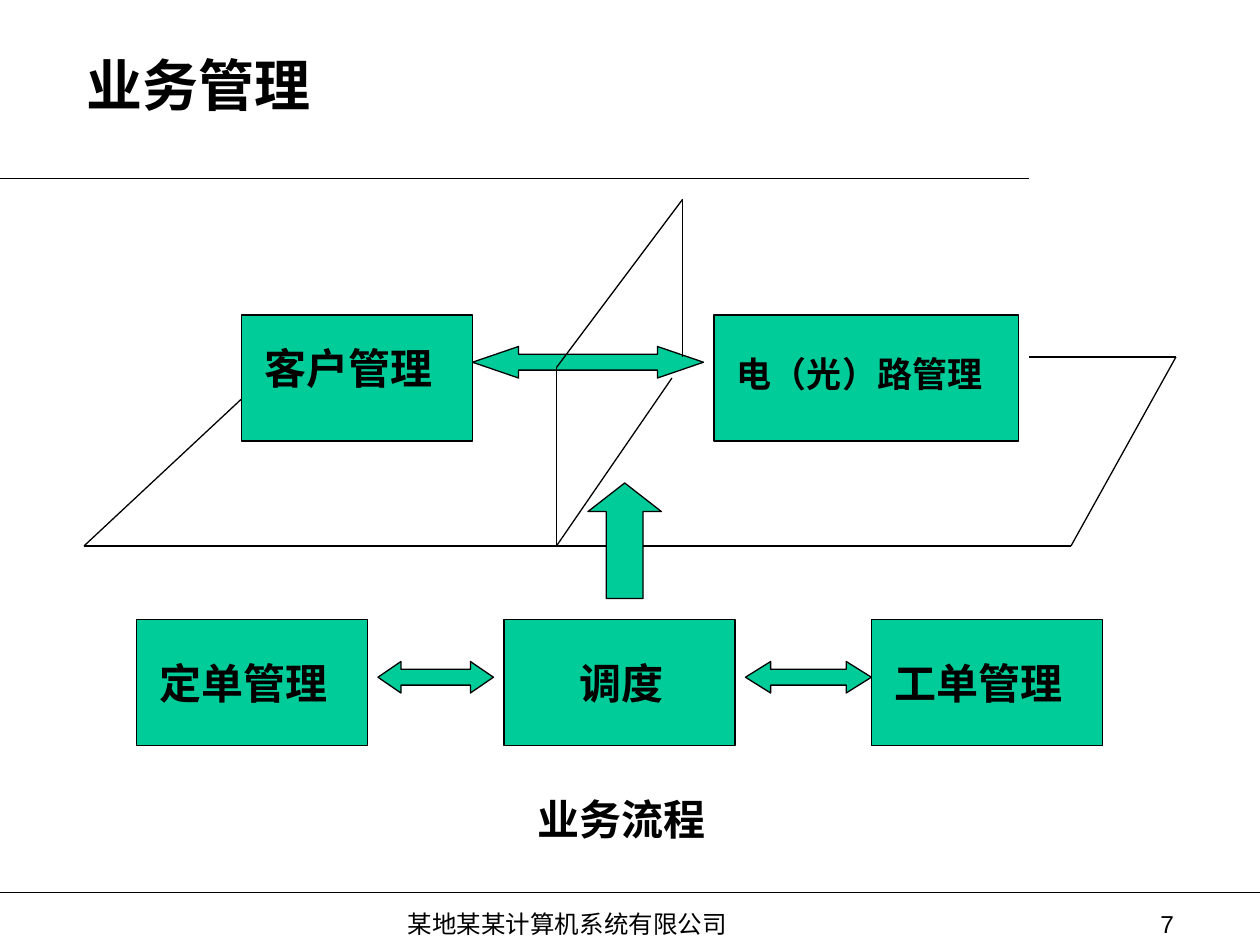
from lxml.etree import SubElement
from pptx import Presentation
from pptx.dml.color import RGBColor
from pptx.enum.shapes import MSO_CONNECTOR as CONNECTOR, MSO_SHAPE as SHAPE
from pptx.enum.text import MSO_ANCHOR as ANCHOR, MSO_AUTO_SIZE as AUTO_SIZE, PP_ALIGN as ALIGN
from pptx.oxml.ns import qn
from pptx.util import Pt

COLORS = {"ink": "000000", "box": "00CC99", "paper": "FFFFFF"}
LATIN, CJK = "Times New Roman", "Noto Sans CJK SC"


def color(name):
    return RGBColor.from_string(COLORS[name])


def write(frame, text, size=24, bold=True, font=LATIN, align=ALIGN.LEFT,
          anchor=ANCHOR.TOP, indent=7.2):
    frame.word_wrap = True
    frame.auto_size = AUTO_SIZE.NONE
    frame.vertical_anchor = anchor
    frame.margin_left, frame.margin_right = Pt(indent), Pt(7.2)
    frame.margin_top = frame.margin_bottom = Pt(3.6)
    paragraph = frame.paragraphs[0]
    paragraph.alignment = align
    paragraph.space_before = Pt(0)
    run = paragraph.add_run()
    run.text = text
    run.font.name, run.font.size, run.font.bold = font, Pt(size), bold
    run.font.color.rgb = color("ink")
    SubElement(run.font._element, qn("a:ea"), typeface=CJK)


class Diagram:
    """Holds the slide and its line style; all lengths are points."""

    def __init__(self, slide, line_width=0.75):
        self.slide = slide
        self.line_width = Pt(line_width)
        slide.background.fill.solid()
        slide.background.fill.fore_color.rgb = color("paper")

    def stroke(self, line):
        line.color.rgb = color("ink")
        line.width = self.line_width

    def title(self, text, left, top, width, height):
        title = self.slide.shapes.title
        title.left, title.top = Pt(left), Pt(top)
        title.width, title.height = Pt(width), Pt(height)
        write(title.text_frame, text, size=32, anchor=ANCHOR.MIDDLE)

    def shape(self, kind, left, top, width, height, *adjustments):
        shape = self.slide.shapes.add_shape(kind, Pt(left), Pt(top), Pt(width), Pt(height))
        shape.shadow.inherit = False
        shape.fill.solid()
        shape.fill.fore_color.rgb = color("box")
        self.stroke(shape.line)
        for index, value in enumerate(adjustments):
            shape.adjustments[index] = value

    def line(self, start, end):
        line = self.slide.shapes.add_connector(CONNECTOR.STRAIGHT, *map(Pt, start + end))
        self.stroke(line.line)
        SubElement(line._element.spPr, qn("a:effectLst"))

    def text(self, text, left, top, width, height=36, **style):
        label = self.slide.shapes.add_textbox(Pt(left), Pt(top), Pt(width), Pt(height))
        write(label.text_frame, text, **style)


def main():
    deck = Presentation()
    deck.slide_width, deck.slide_height = Pt(720), Pt(540)
    diagram = Diagram(deck.slides.add_slide(deck.slide_layouts[5]))

    diagram.title("业务管理", 42, 30, 618, 36)
    diagram.line((0, 102), (588, 102))
    diagram.line((0, 510), (720, 510))

    # Upper plane: customers and circuits
    diagram.shape(SHAPE.RECTANGLE, 138, 180, 132, 72)
    diagram.shape(SHAPE.RECTANGLE, 408, 180, 174, 72)
    diagram.text("客户管理", 144, 192, 120)
    diagram.text("电（光）路管理", 414, 198, 162, 32, size=20)

    # Lower row: order, dispatch and work order
    steps = [("定单管理", 6, 114), ("调度", 36, 66), ("工单管理", 6, 120)]
    for column, (step, offset, width) in enumerate(steps):
        left = 78 + 210 * column
        diagram.shape(SHAPE.RECTANGLE, left, 354, 132, 72)
        diagram.text(step, left + offset, 372, width)

    for left, top, width, head in [(270, 198, 132, 1.46), (216, 378, 66, 0.73),
                                   (426, 378, 72, 0.8)]:
        diagram.shape(SHAPE.LEFT_RIGHT_ARROW, left, top, width, 18, 0.5, head)

    floor_left, floor_right, back_right = (48, 312), (612, 312), (672, 204)
    wall_foot, wall_top, wall_peak = (318, 312), (318, 210), (390, 114)
    for start, end in [
        (floor_left, (138, 228)), (floor_left, floor_right),
        (back_right, floor_right), (back_right, (588, 204)),
        (wall_top, wall_peak), (wall_peak, (390, 204)),
        (wall_top, wall_foot), (wall_foot, (384, 216)),
    ]:
        diagram.line(start, end)

    diagram.shape(SHAPE.UP_ARROW, 336, 276, 42, 66, 0.5, 0.39)
    diagram.text("业务流程", 300, 450, 114, font=CJK)

    diagram.text("某地某某计算机系统有限公司", 204, 516, 246, 24, size=14, bold=False, indent=29)
    diagram.text("7", 528, 516, 150, 24, size=14, bold=False, font="Arial", align=ALIGN.RIGHT)
    deck.save("out.pptx")


if __name__ == "__main__":
    main()
